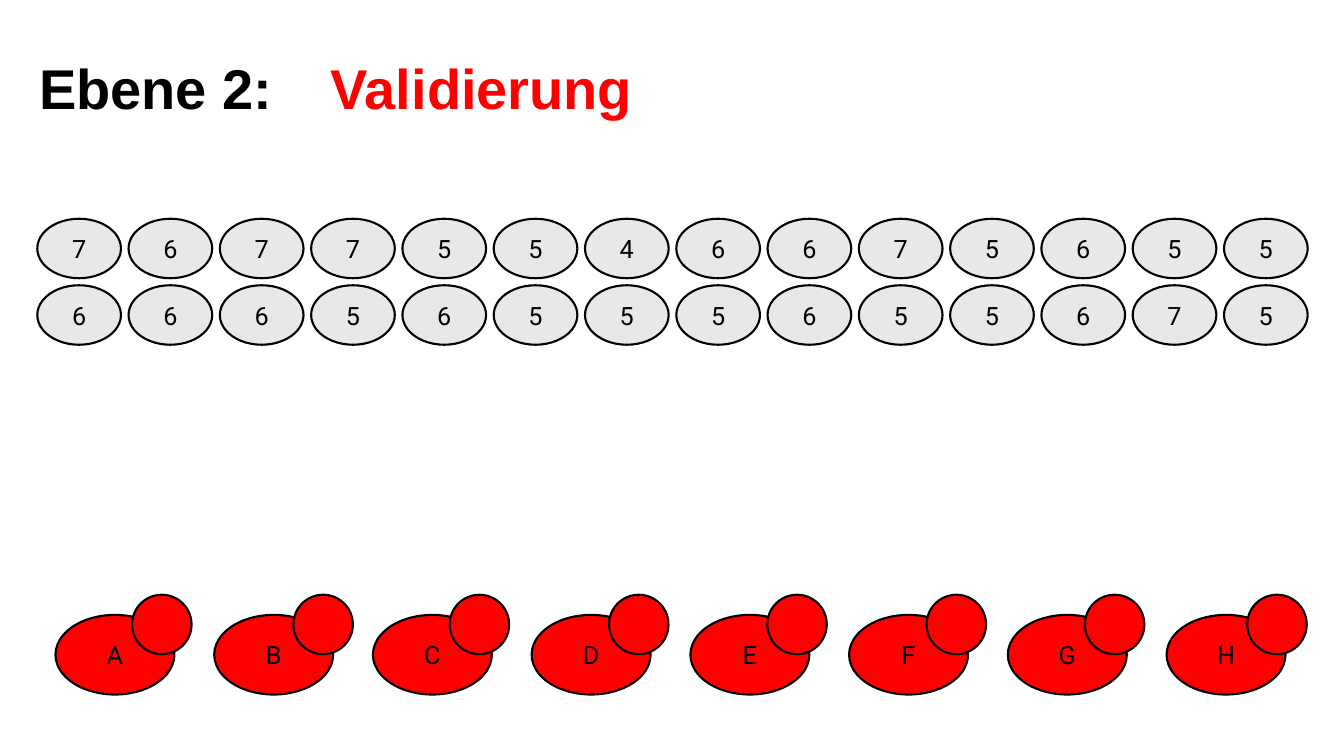
import dataclasses

import pptx
import pptx.dml.color
import pptx.enum.shapes
import pptx.enum.text
import pptx.util

Inches = pptx.util.Inches


@dataclasses.dataclass(frozen=True)
class Theme:
    black: str = "000000"
    red: str = "FF0000"
    grey: str = "E8E8E8"
    heading_font: str = "Arial"
    label_font: str = "Roboto"
    heading_size: int = 40
    label_size: int = 18
    outline: float = 1.5


THEME = Theme()
LEFT = pptx.enum.text.PP_ALIGN.LEFT
CENTER = pptx.enum.text.PP_ALIGN.CENTER

SCORE_ROWS = ("76775546675655", "66656555655675")
VALIDATORS = "ABCDEFGH"
HEAD_LEFTS = (1.31, 2.91, 4.46, 6.04, 7.61, 9.19, 10.76, 12.37)


def rgb(value):
    return pptx.dml.color.RGBColor.from_string(value)


def spread(first, last, count):
    return [first + (last - first) * index / (count - 1) for index in range(count)]


def write_text(shape, text, font_name, size, color, alignment, bold=False):
    frame = shape.text_frame
    frame.word_wrap = True
    frame.vertical_anchor = pptx.enum.text.MSO_ANCHOR.MIDDLE
    paragraph = frame.paragraphs[0]
    paragraph.alignment = alignment
    run = paragraph.add_run()
    run.text = text
    run.font.name = font_name
    run.font.size = pptx.util.Pt(size)
    run.font.bold = bold
    run.font.color.rgb = rgb(color)
    return paragraph


def add_heading(slide, text, left, top, width, height, color, alignment):
    box = slide.shapes.add_textbox(
        Inches(left), Inches(top), Inches(width), Inches(height)
    )
    paragraph = write_text(
        box, text, THEME.heading_font, THEME.heading_size, color, alignment, bold=True
    )
    paragraph.line_spacing = 0.9


def add_ellipse(slide, left, top, width, height, fill, label=None):
    shape = slide.shapes.add_shape(
        pptx.enum.shapes.MSO_SHAPE.OVAL,
        Inches(left), Inches(top), Inches(width), Inches(height),
    )
    shape.shadow.inherit = False
    shape.fill.solid()
    shape.fill.fore_color.rgb = rgb(fill)
    shape.line.color.rgb = rgb(THEME.black)
    shape.line.width = pptx.util.Pt(THEME.outline)
    if label:
        write_text(
            shape, label, THEME.label_font, THEME.label_size, THEME.black, CENTER
        )


def add_scores(slide):
    for top, scores in zip((2.17, 2.83), SCORE_ROWS):
        for left, score in zip(spread(0.37, 12.14, len(scores)), scores):
            add_ellipse(slide, left, top, 0.83, 0.59, THEME.grey, score)


def add_validators(slide):
    body_lefts = spread(0.55, 11.57, len(VALIDATORS))
    for body_left, head_left, name in zip(body_lefts, HEAD_LEFTS, VALIDATORS):
        add_ellipse(slide, body_left, 6.1, 1.18, 0.79, THEME.red, name)
        add_ellipse(slide, head_left, 5.9, 0.59, 0.59, THEME.red)


def main():
    presentation = pptx.Presentation()
    presentation.slide_width = Inches(13.33)
    presentation.slide_height = Inches(7.5)
    slide = presentation.slides.add_slide(presentation.slide_layouts[6])
    add_heading(slide, "Ebene 2:", 0.29, 0.51, 2.63, 0.79, THEME.black, LEFT)
    add_scores(slide)
    add_heading(slide, "Validierung", 2.79, 0.26, 3.97, 1.29, THEME.red, CENTER)
    add_validators(slide)
    presentation.save("out.pptx")


if __name__ == "__main__":
    main()
